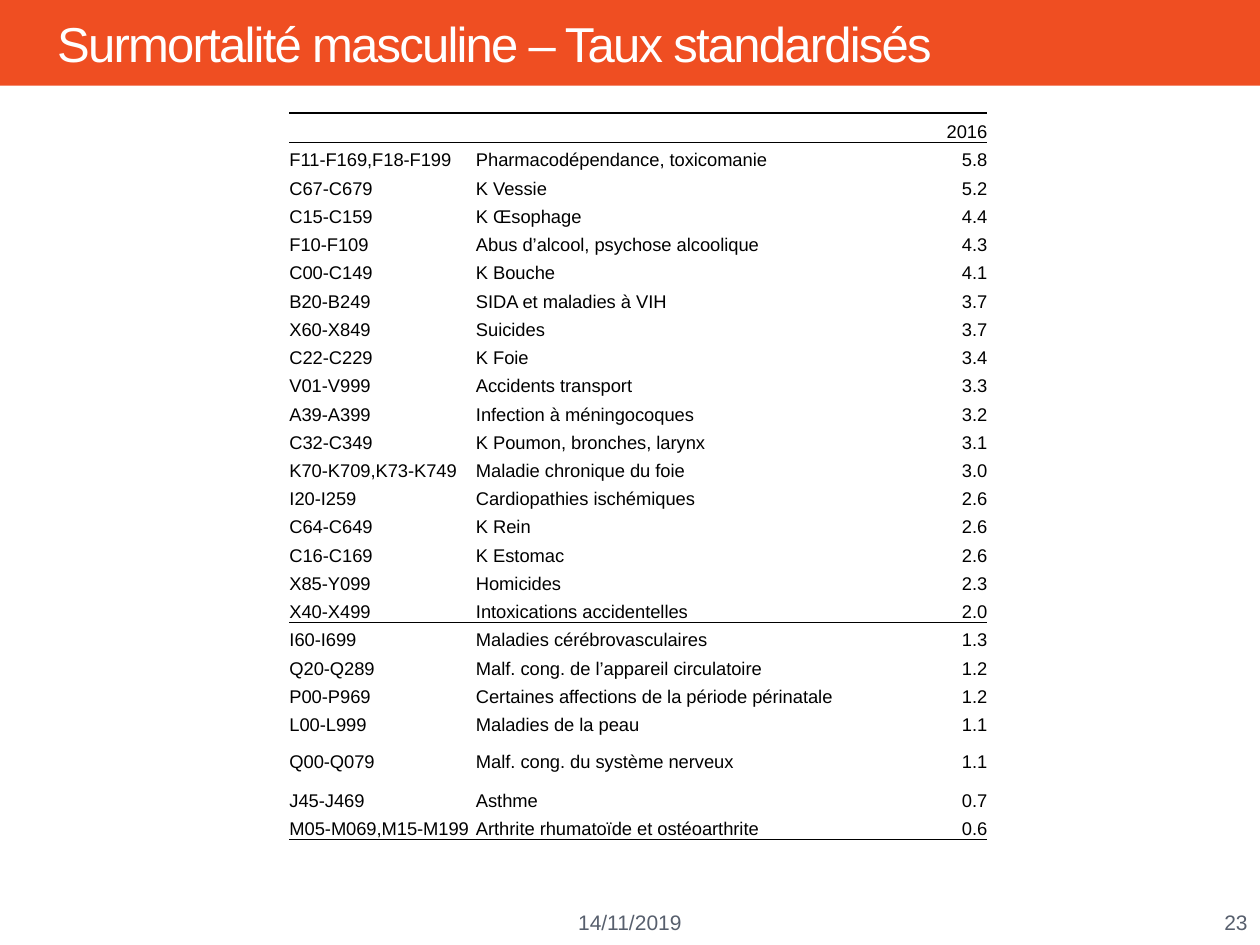
from dataclasses import dataclass

from lxml import etree
from pptx import Presentation
from pptx.dml.color import RGBColor
from pptx.enum import shapes, text
from pptx.oxml import ns
from pptx.util import Pt


@dataclass(frozen=True)
class Theme:
    font: str = "Arial"
    band: str = "EF4E22"
    title: str = "FFFFFF"
    ink: str = "000000"
    footer: str = "575F6D"
    title_size: float = 28
    table_size: float = 10.5
    footer_size: float = 12


theme = Theme()
LEFT, CENTER, RIGHT = text.PP_ALIGN.LEFT, text.PP_ALIGN.CENTER, text.PP_ALIGN.RIGHT


def style_paragraph(para, size, color, align):
    para.alignment = align
    para.font.name = theme.font
    para.font.size = Pt(size)
    para.font.color.rgb = RGBColor.from_string(color)


def add_rule(cell, side):
    line = etree.SubElement(cell._tc.get_or_add_tcPr(), ns.qn(f"a:{side}"), w=str(Pt(1)))
    fill = etree.SubElement(line, ns.qn("a:solidFill"))
    etree.SubElement(fill, ns.qn("a:srgbClr"), val=theme.ink)


deck = Presentation()
deck.slide_width, deck.slide_height = Pt(720), Pt(540)
page = deck.slides.add_slide(deck.slide_layouts[5])

band = page.shapes.add_shape(shapes.MSO_SHAPE.RECTANGLE, 0, 0, Pt(720), Pt(49))
band.shadow.inherit = False
band.fill.solid()
band.fill.fore_color.rgb = RGBColor.from_string(theme.band)
band.line.fill.background()

title = page.shapes.title
page.shapes._spTree.append(title._element)
title.left, title.top, title.width, title.height = Pt(25.5), Pt(7), Pt(556), Pt(35.3)
title.text_frame.text = "Surmortalité masculine – Taux standardisés"
title.text_frame.auto_size = text.MSO_AUTO_SIZE.NONE
title.text_frame.vertical_anchor = text.MSO_ANCHOR.MIDDLE
heading = title.text_frame.paragraphs[0]
style_paragraph(heading, theme.title_size, theme.title, LEFT)
heading.runs[0]._r.get_or_add_rPr().set("spc", "-100")

for label, left, width, align in (
    ("14/11/2019", 314.6, 90.7, CENTER),
    ("23", 666, 54, RIGHT),
):
    box = page.shapes.add_textbox(Pt(left), Pt(514.5), Pt(width), Pt(24.5))
    box.text_frame.word_wrap = True
    box.text_frame.vertical_anchor = text.MSO_ANCHOR.MIDDLE
    box.text_frame.text = label
    style_paragraph(box.text_frame.paragraphs[0], theme.footer_size, theme.footer, align)

rows = [
    ("", "", "2016"),
    ("F11-F169,F18-F199", "Pharmacodépendance, toxicomanie", "5.8"),
    ("C67-C679", "K Vessie", "5.2"),
    ("C15-C159", "K Œsophage", "4.4"),
    ("F10-F109", "Abus d’alcool, psychose alcoolique", "4.3"),
    ("C00-C149", "K Bouche", "4.1"),
    ("B20-B249", "SIDA et maladies à VIH", "3.7"),
    ("X60-X849", "Suicides", "3.7"),
    ("C22-C229", "K Foie", "3.4"),
    ("V01-V999", "Accidents transport", "3.3"),
    ("A39-A399", "Infection à méningocoques", "3.2"),
    ("C32-C349", "K Poumon, bronches, larynx", "3.1"),
    ("K70-K709,K73-K749", "Maladie chronique du foie", "3.0"),
    ("I20-I259", "Cardiopathies ischémiques", "2.6"),
    ("C64-C649", "K Rein", "2.6"),
    ("C16-C169", "K Estomac", "2.6"),
    ("X85-Y099", "Homicides", "2.3"),
    ("X40-X499", "Intoxications accidentelles", "2.0"),
    ("I60-I699", "Maladies cérébrovasculaires", "1.3"),
    ("Q20-Q289", "Malf. cong. de l’appareil circulatoire", "1.2"),
    ("P00-P969", "Certaines affections de la période périnatale", "1.2"),
    ("L00-L999", "Maladies de la peau", "1.1"),
    ("Q00-Q079", "Malf. cong. du système nerveux", "1.1"),
    ("J45-J469", "Asthme", "0.7"),
    ("M05-M069,M15-M199", "Arthrite rhumatoïde et ostéoarthrite", "0.6"),
]
row_heights = {0: 16.8, 22: 21.2, 23: 22.2}
rules_below = {0, 17, len(rows) - 1}

frame = page.shapes.add_table(len(rows), 3, Pt(165.4), Pt(64.7), Pt(398.8), Pt(415.5))
table = frame.table
table.first_row = table.horz_banding = False
style_id = table._tbl.tblPr.find(ns.qn("a:tableStyleId"))
style_id.text = "{2D5ABB26-0587-4C30-8999-92F81FD0307C}"
for column, width in zip(table.columns, (106.6, 209.4, 82.8)):
    column.width = Pt(width)

for index, values in enumerate(rows):
    table.rows[index].height = Pt(row_heights.get(index, 16.15))
    for cell, value, align in zip(table.rows[index].cells, values, (LEFT, LEFT, RIGHT)):
        cell.margin_left = cell.margin_right = cell.margin_top = cell.margin_bottom = 0
        cell.vertical_anchor = text.MSO_ANCHOR.BOTTOM
        if index == 0:
            add_rule(cell, "lnT")
        if index in rules_below:
            add_rule(cell, "lnB")
        cell.fill.background()
        cell.text_frame.text = value
        para = cell.text_frame.paragraphs[0]
        style_paragraph(para, theme.table_size, theme.ink, align)
        if not value:
            ending = etree.SubElement(para._p, ns.qn("a:endParaRPr"))
            ending.set("sz", str(int(theme.table_size * 100)))

deck.save("out.pptx")
